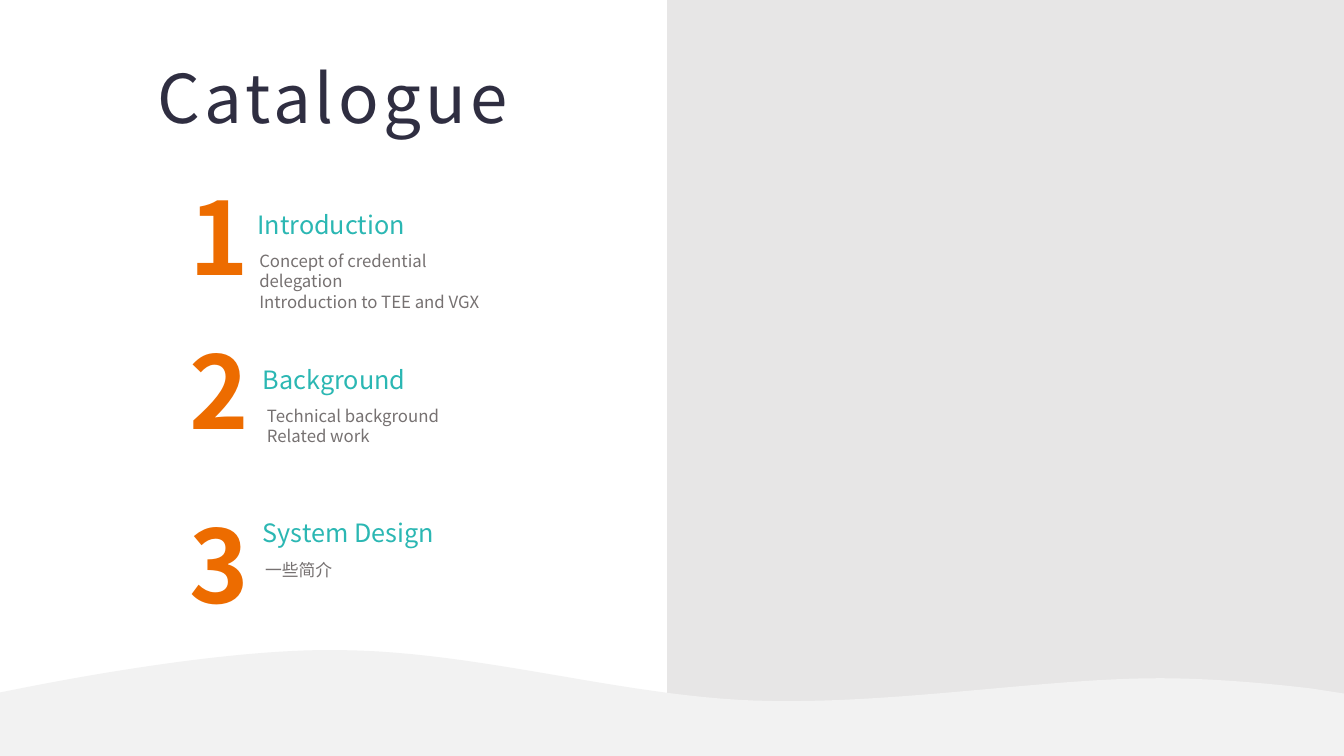
from dataclasses import dataclass

from pptx import Presentation
from pptx.dml.color import RGBColor
from pptx.enum.shapes import MSO_SHAPE
from pptx.enum.text import MSO_ANCHOR, PP_ALIGN
from pptx.oxml.ns import qn
from pptx.util import Pt

LEFT, CENTER = PP_ALIGN.LEFT, PP_ALIGN.CENTER
TOP = MSO_ANCHOR.TOP
RECTANGLE = MSO_SHAPE.RECTANGLE
TITLE_ONLY = 5
FONT = "Noto Sans CJK SC"
COLORS = {
    "title": "2F2E41",
    "heading": "2BB7B3",
    "detail": "767171",
    "number": "ED6C00",
    "panel": "E7E6E6",
    "wave": "F2F2F2",
}
SLIDE_WIDTH, SLIDE_HEIGHT = 960, 540
CURVE_STEPS = 24
UNITS_PER_POINT = 100
WAVE_START = (0, 494.6)
WAVE_CURVES = [
    ((7.2, 493.2), (74.9, 479.5), (160.6, 465.8), (225.4, 464.4)),
    ((225.4, 464.4), (231.8, 464.4), (238.3, 464.4), (245.5, 464.4)),
    ((245.5, 464.4), (343.4, 465.8), (442.8, 496.8), (538.6, 500.4)),
    ((538.6, 500.4), (641.5, 504), (755.3, 482.4), (841, 484.6)),
    ((841, 484.6), (873.4, 485.3), (906.5, 488.2), (936.7, 491.8)),
]
WAVE_END = [(960, 495.4), (960, 540), (0, 540)]


@dataclass
class TextStyle:
    size: float
    color: str
    bold: bool = False
    align: PP_ALIGN = LEFT


@dataclass
class Chapter:
    number: str
    number_top: float
    heading: str
    heading_left: float
    heading_top: float
    details: str
    detail_left: float
    detail_top: float
    detail_width: float


NUMBER = TextStyle(72, "number", True, CENTER)
HEADING = TextStyle(18, "heading")
DETAIL = TextStyle(12, "detail")
TITLE = TextStyle(48, "title")
CHAPTERS = [
    Chapter("1", 121, "Introduction", 176.8, 145.8,
            "Concept of credential delegation\nIntroduction to TEE and VGX", 178.1, 175.8, 195.8),
    Chapter("2", 231.1, "Background", 180.7, 257,
            "Technical background\nRelated work", 183.6, 286.5, 172.1),
    Chapter("3", 355.7, "System Design", 180.7, 365.8, "一些简介", 182.2, 396.2, 157),
]


def write_text(shape, text: str, style: TextStyle, wrap: bool = True) -> None:
    frame = shape.text_frame
    frame.text = text
    frame.word_wrap = wrap
    frame.vertical_anchor = TOP
    for paragraph in frame.paragraphs:
        paragraph.alignment = style.align
        for run in paragraph.runs:
            run.font.size = Pt(style.size)
            run.font.bold = style.bold
            run.font.name = FONT
            run.font.color.rgb = RGBColor.from_string(COLORS[style.color])
            east_asian = run.font._element.makeelement(qn("a:ea"), {"typeface": FONT})
            run.font._element.append(east_asian)


def add_text(slide, left: float, top: float, width: float, height: float,
             text: str, style: TextStyle) -> None:
    box = slide.shapes.add_textbox(Pt(left), Pt(top), Pt(width), Pt(height))
    write_text(box, text, style)


def fill_plain(shape, color: str) -> None:
    shape.fill.solid()
    shape.fill.fore_color.rgb = RGBColor.from_string(COLORS[color])
    shape.line.fill.background()
    shape.shadow.inherit = False


def curve_points(p0: tuple, p1: tuple, p2: tuple, p3: tuple) -> list:
    points = []
    for step in range(CURVE_STEPS + 1):
        t = step / CURVE_STEPS
        u = 1 - t
        points.append(tuple(
            u**3 * a + 3 * u**2 * t * b + 3 * u * t**2 * c + t**3 * d
            for a, b, c, d in zip(p0, p1, p2, p3)
        ))
    return points


def add_title(slide) -> None:
    title = slide.shapes.title
    title.left, title.top, title.width, title.height = Pt(105.1), Pt(36.7), Pt(275), Pt(129.6)
    write_text(title, "Catalogue", TITLE, wrap=False)
    for run in title.text_frame.paragraphs[0].runs:
        run.font._element.set("spc", "300")


def add_panel(slide) -> None:
    left = 476.6
    panel = slide.shapes.add_shape(RECTANGLE, Pt(left), 0, Pt(SLIDE_WIDTH - left), Pt(SLIDE_HEIGHT))
    fill_plain(panel, "panel")


def add_wave(slide) -> None:
    outline = [WAVE_START] + [point for curve in WAVE_CURVES for point in curve_points(*curve)] + WAVE_END
    start, *rest = [(x * UNITS_PER_POINT, y * UNITS_PER_POINT) for x, y in outline]
    builder = slide.shapes.build_freeform(*start, scale=Pt(1) / UNITS_PER_POINT)
    builder.add_line_segments(rest, close=True)
    fill_plain(builder.convert_to_shape(), "wave")


def add_chapter(slide, chapter: Chapter) -> None:
    add_text(slide, chapter.heading_left, chapter.heading_top, 230, 28.8, chapter.heading, HEADING)
    add_text(slide, chapter.detail_left, chapter.detail_top, chapter.detail_width, 36,
             chapter.details, DETAIL)
    add_text(slide, 128.2, chapter.number_top, 48.2, 94.3, chapter.number, NUMBER)


def main() -> None:
    presentation = Presentation()
    presentation.slide_width = Pt(SLIDE_WIDTH)
    presentation.slide_height = Pt(SLIDE_HEIGHT)
    slide = presentation.slides.add_slide(presentation.slide_layouts[TITLE_ONLY])
    add_title(slide)
    add_panel(slide)
    add_wave(slide)
    for chapter in CHAPTERS:
        add_chapter(slide, chapter)
    presentation.save("out.pptx")


if __name__ == "__main__":
    main()
